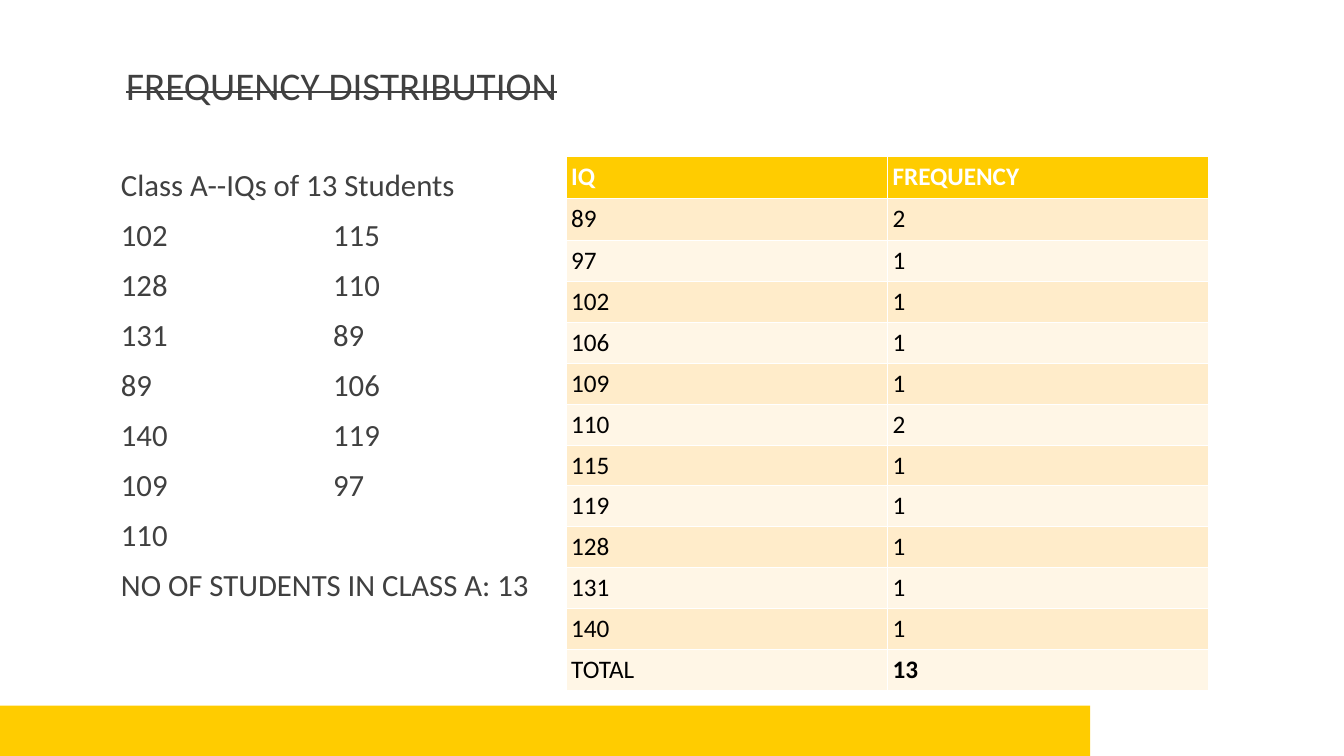
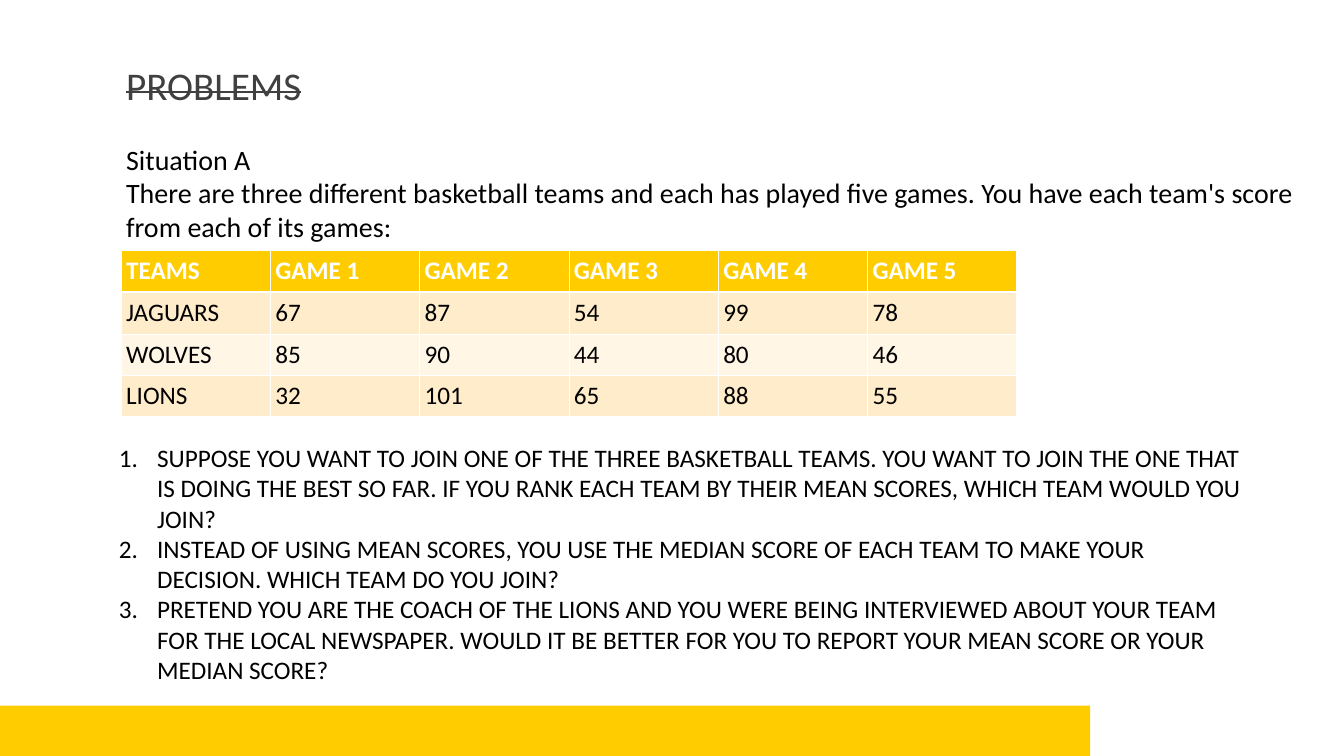
from collections import Counter
from itertools import zip_longest

from lxml import etree
from pptx import Presentation
from pptx import util as u
from pptx.dml import color
from pptx.enum import shapes, text
from pptx.oxml import ns

GOLD, CREAM, IVORY = "FFCC00", "FFECCA", "FFF6E6"
WHITE, BLACK, GREY = "FFFFFF", "000000", "404040"
INSET = 0.13
LEFT = 3.05

IQ_COLUMNS = (
    [102, 128, 131, 89, 140, 109, 110],
    [115, 110, 89, 106, 119, 97],
)
GAME_SCORES = {
    "JAGUARS": [67, 87, 54, 99, 78],
    "WOLVES": [85, 90, 44, 80, 46],
    "LIONS": [32, 101, 65, 88, 55],
}
SITUATION = [
    "Situation A",
    "There are three different basketball teams and each has played five games. "
    "You have each team's score from each of its games:",
]
QUESTIONS = [
    "SUPPOSE YOU WANT TO JOIN ONE OF THE THREE BASKETBALL TEAMS. YOU WANT TO JOIN "
    "THE ONE THAT IS DOING THE BEST SO FAR. IF YOU RANK EACH TEAM BY THEIR MEAN "
    "SCORES, WHICH TEAM WOULD YOU JOIN?",
    "INSTEAD OF USING MEAN SCORES, YOU USE THE MEDIAN SCORE OF EACH TEAM TO MAKE "
    "YOUR DECISION. WHICH TEAM DO YOU JOIN?",
    "PRETEND YOU ARE THE COACH OF THE LIONS AND YOU WERE BEING INTERVIEWED ABOUT "
    "YOUR TEAM FOR THE LOCAL NEWSPAPER. WOULD IT BE BETTER FOR YOU TO REPORT YOUR "
    "MEAN SCORE OR YOUR MEDIAN SCORE?",
]


def paint(target, hex_color):
    target.rgb = color.RGBColor.from_string(hex_color)


def fill_with(part, hex_color):
    part.fill.solid()
    paint(part.fill.fore_color, hex_color)


def apply(target, formats):
    for attribute, value in formats.items():
        setattr(target, attribute, value)


def margins(inset):
    sides = ("left", "top", "right", "bottom")
    return {f"margin_{side}": u.Cm(inset) for side in sides}


def add_element(parent, tag, **attributes):
    return etree.SubElement(parent, ns.qn(tag), attributes)


def write(paragraph, words, size, hex_color, bold=False):
    run = paragraph.add_run()
    run.text = words
    apply(run.font, {"name": "Calibri", "size": u.Pt(size), "bold": bold})
    paint(run.font.color, hex_color)
    return run


def add_text(slide, box, lines, size, hex_color, inset=INSET, spacing=None,
             before=0, prepare=None, **frame_formats):
    frame = slide.shapes.add_textbox(*map(u.Cm, box)).text_frame
    apply(frame, {"word_wrap": True, **margins(inset), **frame_formats})
    runs = []
    for index, line in enumerate(lines):
        paragraph = frame.add_paragraph() if index else frame.paragraphs[0]
        if prepare:
            prepare(paragraph._p.get_or_add_pPr())
        apply(paragraph, {"line_spacing": spacing,
                          "space_before": u.Pt(before if index else 0)})
        runs.append(write(paragraph, line, size, hex_color))
    return runs


def add_iq_tab(properties):
    stops = add_element(properties, "a:tabLst")
    add_element(stops, "a:tab", pos=str(u.Cm(5.35)), algn="l")


def add_number(properties):
    indent = u.Cm(0.96)
    properties.set("marL", str(indent))
    properties.set("indent", str(-indent))
    add_element(add_element(properties, "a:buClr"), "a:srgbClr", val=BLACK)
    add_element(properties, "a:buAutoNum", type="arabicPeriod")


def add_borders(cell, row):
    widths = {
        "L": 0.45,
        "R": 0.45,
        "T": 1.5 if row == 1 else 0.45,
        "B": 1.5 if row == 0 else 0.45,
    }
    properties = cell._tc.get_or_add_tcPr()
    for position, (side, width) in enumerate(widths.items()):
        border = etree.Element(ns.qn(f"a:ln{side}"), w=str(u.Pt(width)))
        add_element(add_element(border, "a:solidFill"), "a:srgbClr", val=WHITE)
        properties.insert(position, border)


def add_grid(slide, box, rows, bold_cells=()):
    left, top, width = box
    heights = [1.06 if index < 2 else 1.03 for index in range(len(rows))]
    grid = slide.shapes.add_table(
        len(rows), len(rows[0]), *map(u.Cm, (left, top, width, sum(heights)))).table
    for row, values in enumerate(rows):
        grid.rows[row].height = u.Cm(heights[row])
        header = row == 0
        background = GOLD if header else CREAM if row % 2 else IVORY
        for column, value in enumerate(values):
            cell = grid.cell(row, column)
            apply(cell, margins(INSET))
            fill_with(cell, background)
            add_borders(cell, row)
            write(cell.text_frame.paragraphs[0], str(value), 18,
                  WHITE if header else BLACK,
                  header or (row, column) in bold_cells)


def start_slide(deck, title):
    slide = deck.slides.add_slide(deck.slide_layouts[6])
    band = slide.shapes.add_shape(
        shapes.MSO_SHAPE.RECTANGLE, *map(u.Cm, (0, 17.78, 27.48, 1.27)))
    band.shadow.inherit = False
    fill_with(band, GOLD)
    band.line.fill.background()
    heading, = add_text(slide, (LEFT, 0.79, 27.94, 2.08), [title], 28, GREY,
                        spacing=0.85, vertical_anchor=text.MSO_ANCHOR.BOTTOM)
    heading.font._element.set("strike", "sngStrike")
    return slide


def add_iq_list(slide, box):
    pairs = zip_longest(*IQ_COLUMNS)
    lines = ["\t".join(str(iq) for iq in pair if iq is not None) for pair in pairs]
    total = sum(map(len, IQ_COLUMNS))
    add_text(slide, box,
             [f"Class A--IQs of {total} Students", *lines,
              f"NO OF STUDENTS IN CLASS A: {total}"],
             22, GREY, inset=0, spacing=0.9, before=12, prepare=add_iq_tab)


def add_frequencies(slide, box):
    counts = Counter(iq for column in IQ_COLUMNS for iq in column)
    rows = [("IQ", "FREQUENCY"), *sorted(counts.items()),
            ("TOTAL", sum(counts.values()))]
    add_grid(slide, box, rows, bold_cells=[(len(rows) - 1, 1)])


def add_game_scores(slide, box):
    header = ["TEAMS", *(f"GAME {game}" for game in range(1, 6))]
    add_grid(slide, box, [header, *([team, *scores]
                                    for team, scores in GAME_SCORES.items())])


def build_frequency_slide(deck):
    slide = start_slide(deck, "FREQUENCY DISTRIBUTION")
    add_iq_list(slide, (LEFT, 4.27, 11.23, 13.92))
    add_frequencies(slide, (14.27, 3.94, 16.2))


def build_problems_slide(deck):
    slide = start_slide(deck, "PROBLEMS")
    grow = {"auto_size": text.MSO_AUTO_SIZE.SHAPE_TO_FIT_TEXT}
    add_text(slide, (LEFT, 3.45, 29.85, 2.79), SITUATION, 20, BLACK, **grow)
    add_game_scores(slide, (LEFT, 6.3, 22.58))
    add_text(slide, (2.87, 11.02, 28.78, 6.35), QUESTIONS, 18, BLACK,
             prepare=add_number, **grow)


def main():
    deck = Presentation()
    apply(deck, {"slide_width": u.Cm(33.88), "slide_height": u.Cm(19.05)})
    build_frequency_slide(deck)
    build_problems_slide(deck)
    deck.save("out.pptx")


if __name__ == "__main__":
    main()
